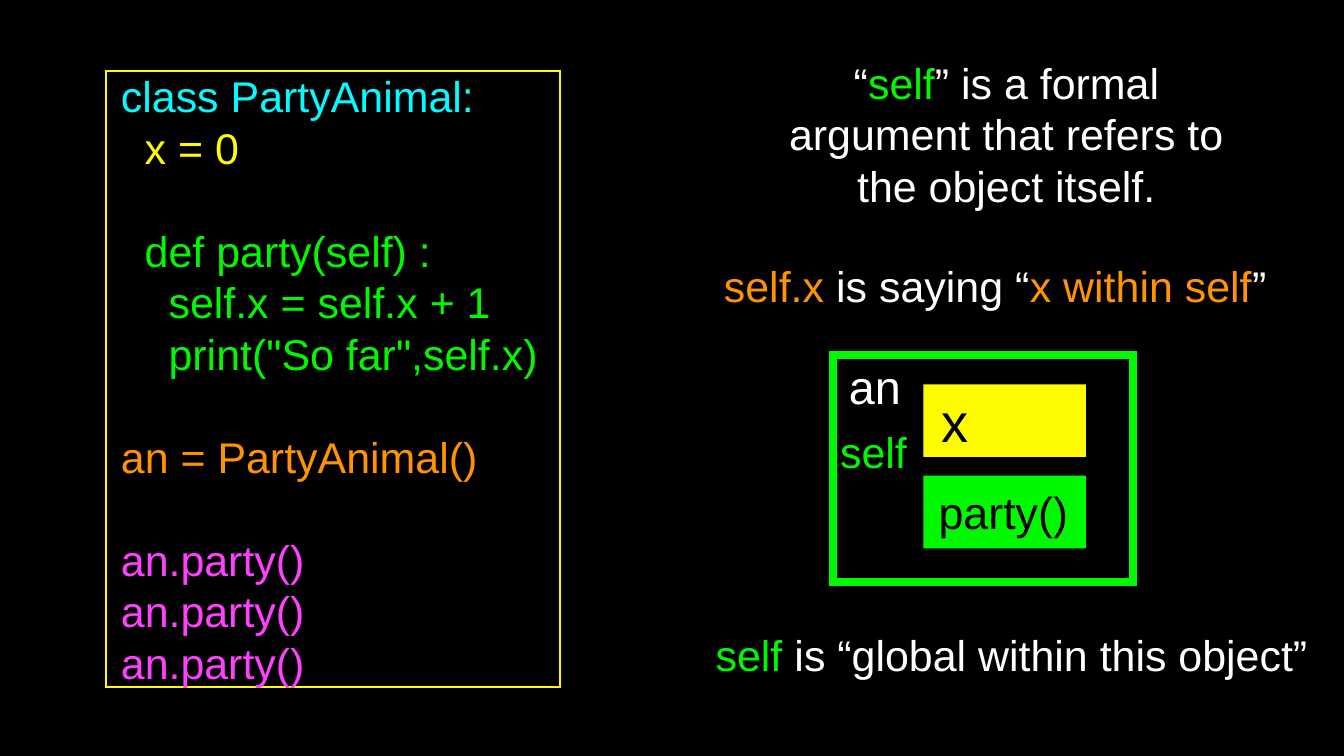
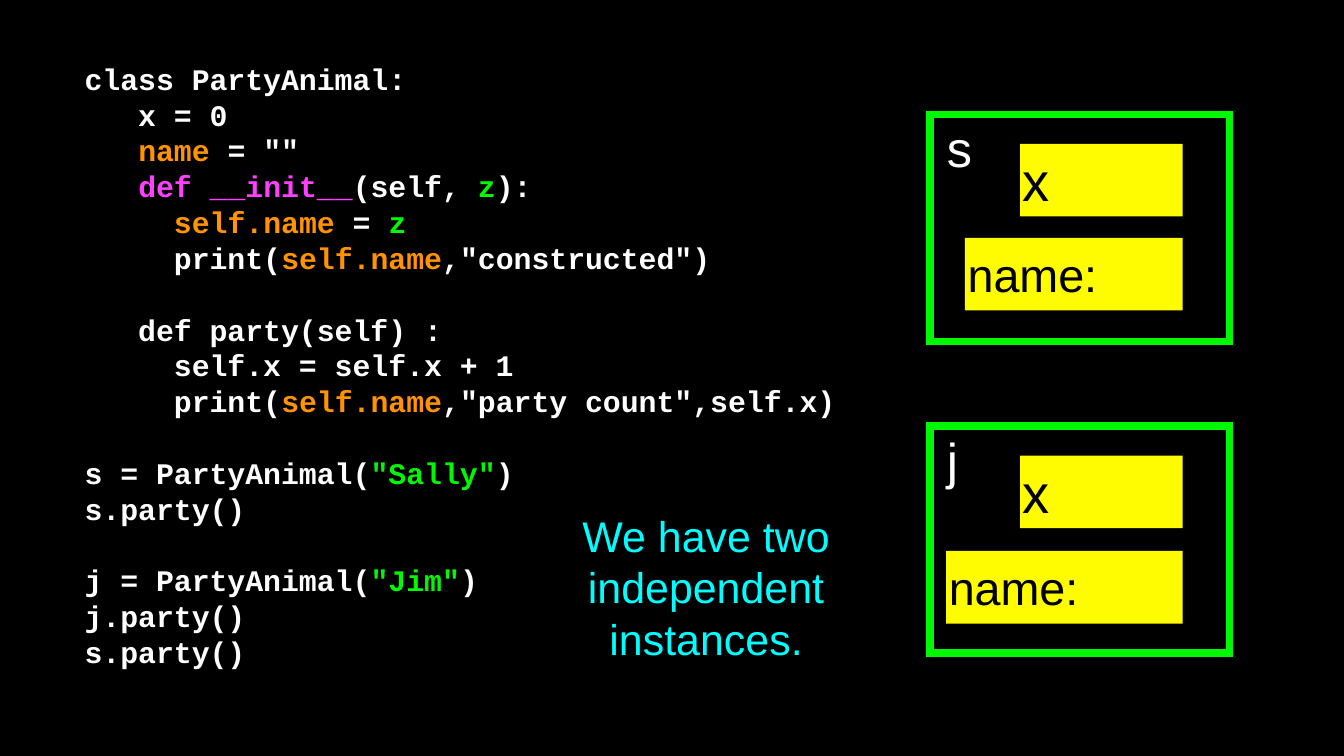
from dataclasses import dataclass

from pptx import Presentation
from pptx import util as u
from pptx.dml.color import RGBColor
from pptx.enum import shapes, text
from pptx.oxml import ns
from lxml import etree


@dataclass(frozen=True)
class Theme:
    black: str = "000000"
    white: str = "FFFFFF"
    yellow: str = "FFFB00"
    green: str = "00F900"
    orange: str = "FF9300"
    cyan: str = "00FDFF"
    magenta: str = "FF40FF"
    sans: str = "Arial"
    mono: str = "Courier New"
    code: int = 16
    body: int = 23
    method: int = 24
    label: int = 25
    instance: int = 27
    variable: int = 29
    inset: float = 0.02
    space_width: float = 0.28
    blank_line: float = 1.2


THEME = Theme()
CELL_HEIGHT = 0.54
CELL_RIGHT = 1.88

CLASS_CODE = [
    [("class PartyAnimal:", THEME.cyan)],
    [("  x = 0", THEME.yellow)],
    [],
    [("  def party(self) :", THEME.green)],
    [("    self.x = self.x + 1", THEME.green)],
    [("    print(\"So far\",self.x)", THEME.green)],
    [],
    [("an = PartyAnimal()", THEME.orange)],
    [],
] + [[("an.party()", THEME.magenta)]] * 3

INSTANCE_CODE = [
    [("class PartyAnimal:", THEME.white)],
    [("   x = 0", THEME.white)],
    [("   ", THEME.white), ("name", THEME.orange), (" = \"\"", THEME.white)],
    [("   ", THEME.white), ("def __init__", THEME.magenta), ("(self, ", THEME.white),
     ("z", THEME.green), ("):", THEME.white)],
    [("     ", THEME.white), ("self.name", THEME.orange), (" = ", THEME.white), ("z", THEME.green)],
    [("     print(", THEME.white), ("self.name", THEME.orange), (",\"constructed\")", THEME.white)],
    [],
    [("   def party(self) :", THEME.white)],
    [("     self.x = self.x + 1", THEME.white)],
    [("     print(", THEME.white), ("self.name", THEME.orange),
     (",\"party count\",self.x)", THEME.white)],
    [],
    [("s = PartyAnimal(", THEME.white), ("\"Sally\"", THEME.green), (")", THEME.white)],
    [("s.party()", THEME.white)],
    [],
    [("j = PartyAnimal(", THEME.white), ("\"Jim\"", THEME.green), (")", THEME.white)],
    [("j.party()", THEME.white)],
    [("s.party()", THEME.white)],
]


def rgb(colour):
    return RGBColor.from_string(colour)


def write(shape, lines, size, font=THEME.sans, align=text.PP_ALIGN.LEFT,
          anchor=text.MSO_ANCHOR.MIDDLE, indented=False, bold=False):
    frame = shape.text_frame
    frame.word_wrap = True
    frame.vertical_anchor = anchor
    frame.margin_left = frame.margin_right = u.Inches(THEME.inset)
    frame.margin_top = frame.margin_bottom = u.Inches(THEME.inset)
    if indented:
        frame.margin_left += u.Pt(size * THEME.space_width)
    para, gap = None, 0
    for line in lines:
        if not line:
            gap += size * THEME.blank_line
            continue
        para = frame.add_paragraph() if para else frame.paragraphs[0]
        para.alignment = align
        if gap:
            para.space_before = u.Pt(round(gap, 1))
            gap = 0
        para.font.name = font
        para.font.size = u.Pt(size)
        para.font.bold = bold
        colours = {colour for _, colour in line}
        if len(colours) == 1:
            para.font.color.rgb = rgb(line[0][1])
        for words, colour in line:
            span = para.add_run()
            span.text = words
            if len(colours) > 1:
                span.font.color.rgb = rgb(colour)


def add_box(parent, box, fill=None, line=None, weight=1):
    shape = parent.shapes.add_shape(shapes.MSO_SHAPE.RECTANGLE, *map(u.Inches, box))
    shape.shadow.inherit = False
    if fill:
        shape.fill.solid()
        shape.fill.fore_color.rgb = rgb(fill)
    else:
        shape.fill.background()
    if line:
        shape.line.color.rgb = rgb(line)
        shape.line.width = u.Pt(weight)
        outline = shape.element.spPr.find(ns.qn("a:ln"))
        etree.SubElement(outline, ns.qn("a:miter"), lim="800000")
    else:
        shape.line.fill.background()
    return shape


def add_text(page, box, lines, size=THEME.body, align=text.PP_ALIGN.CENTER, **style):
    shape = page.shapes.add_textbox(*map(u.Inches, box))
    write(shape, lines, size, align=align, **style)


def add_object(page, box, label, label_size, cells, indented=False):
    left, top, _, _ = box
    group = page.shapes.add_group_shape()
    frame = add_box(group, box, line=THEME.green, weight=4)
    write(frame, [[(label, THEME.white)]], label_size,
          anchor=text.MSO_ANCHOR.TOP, indented=True)
    for words, size, fill, offset, width in cells:
        cell_box = (left + CELL_RIGHT - width, top + offset, width, CELL_HEIGHT)
        cell = add_box(group, cell_box, fill=fill)
        write(cell, [[(words, THEME.black)]], size, indented=indented)


def build_self_page(page):
    listing = add_box(page, (0.79, 0.53, 3.38, 4.58), line=THEME.yellow)
    write(listing, CLASS_CODE, THEME.body, indented=True)
    add_object(page, (6.2, 2.64, 2.23, 1.69), "an", THEME.label, [
        ("x", THEME.variable, THEME.yellow, 0.22, 1.21),
        ("party()", THEME.method, THEME.green, 0.9, 1.21),
    ], indented=True)
    add_text(page, (5.77, 0.46, 3.44, 1.07), [[
        ("“", THEME.white), ("self", THEME.green),
        ("” is a formal argument that refers to the object itself.", THEME.white)]])
    add_text(page, (6.2, 3.16, 0.6, 0.39), [[("self", THEME.green)]])
    add_text(page, (5.29, 1.93, 4.23, 0.39), [[
        ("self.x", THEME.orange), (" is saying “", THEME.white),
        ("x within self", THEME.orange), ("”", THEME.white)]])
    add_text(page, (5.29, 4.64, 4.48, 0.46), [[
        ("self", THEME.green), (" is “global within this object”", THEME.white)]])


def build_instances_page(page):
    add_text(page, (0.61, 0.19, 6.16, 5.05), INSTANCE_CODE, THEME.code,
             align=text.PP_ALIGN.LEFT, font=THEME.mono, bold=True)
    for label, top, name_offset, name_width in (("s", 0.85, 0.92, 1.62), ("j", 3.17, 0.93, 1.76)):
        add_object(page, (6.92, top, 2.23, 1.69), label, THEME.instance, [
            ("x", THEME.variable, THEME.yellow, 0.22, 1.21),
            ("name:", THEME.label, THEME.yellow, name_offset, name_width),
        ])
    add_text(page, (3.93, 3.8, 2.65, 1.13),
             [[("We have two independent instances.", THEME.cyan)]])


def main():
    deck = Presentation()
    deck.slide_width = u.Inches(10)
    deck.slide_height = deck.slide_width * 9 // 16
    background = deck.slide_master.background.fill
    background.solid()
    background.fore_color.rgb = rgb(THEME.black)
    blank = deck.slide_layouts.get_by_name("Blank")
    for build in (build_self_page, build_instances_page):
        build(deck.slides.add_slide(blank))
    deck.save("out.pptx")


if __name__ == "__main__":
    main()
